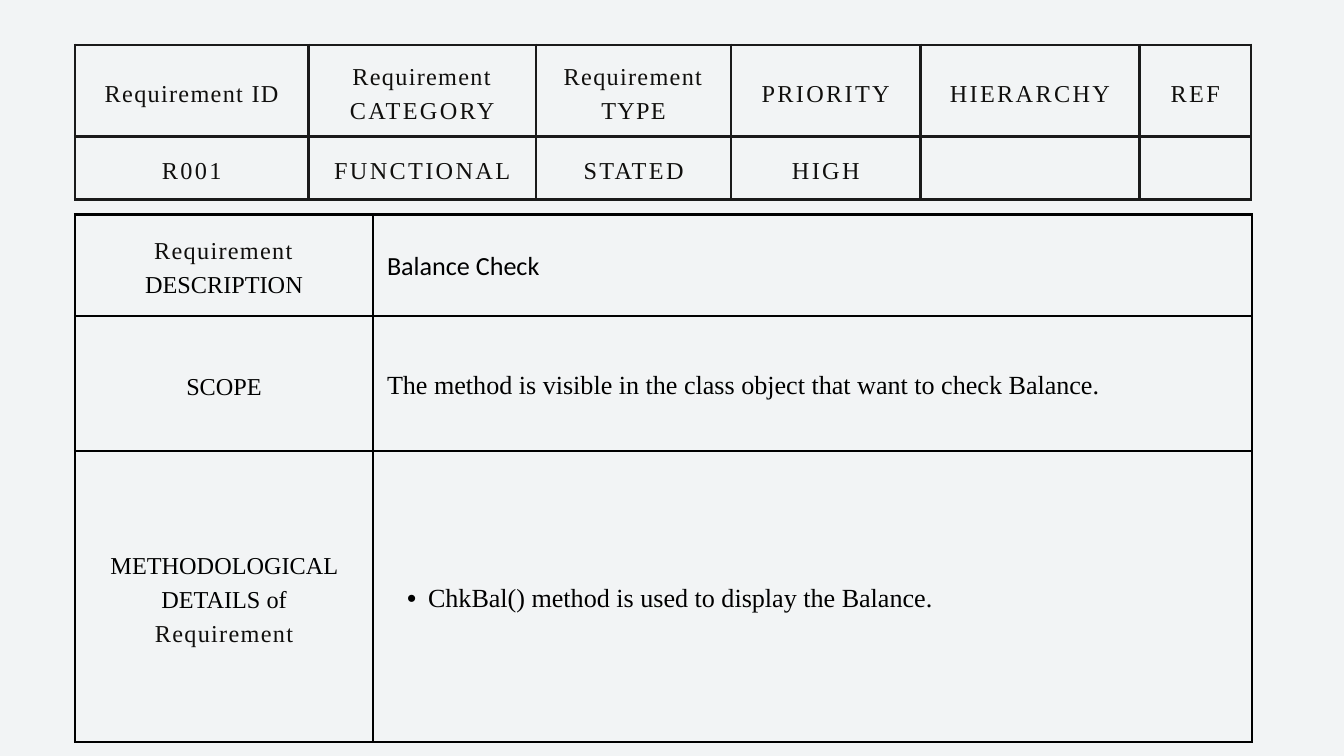
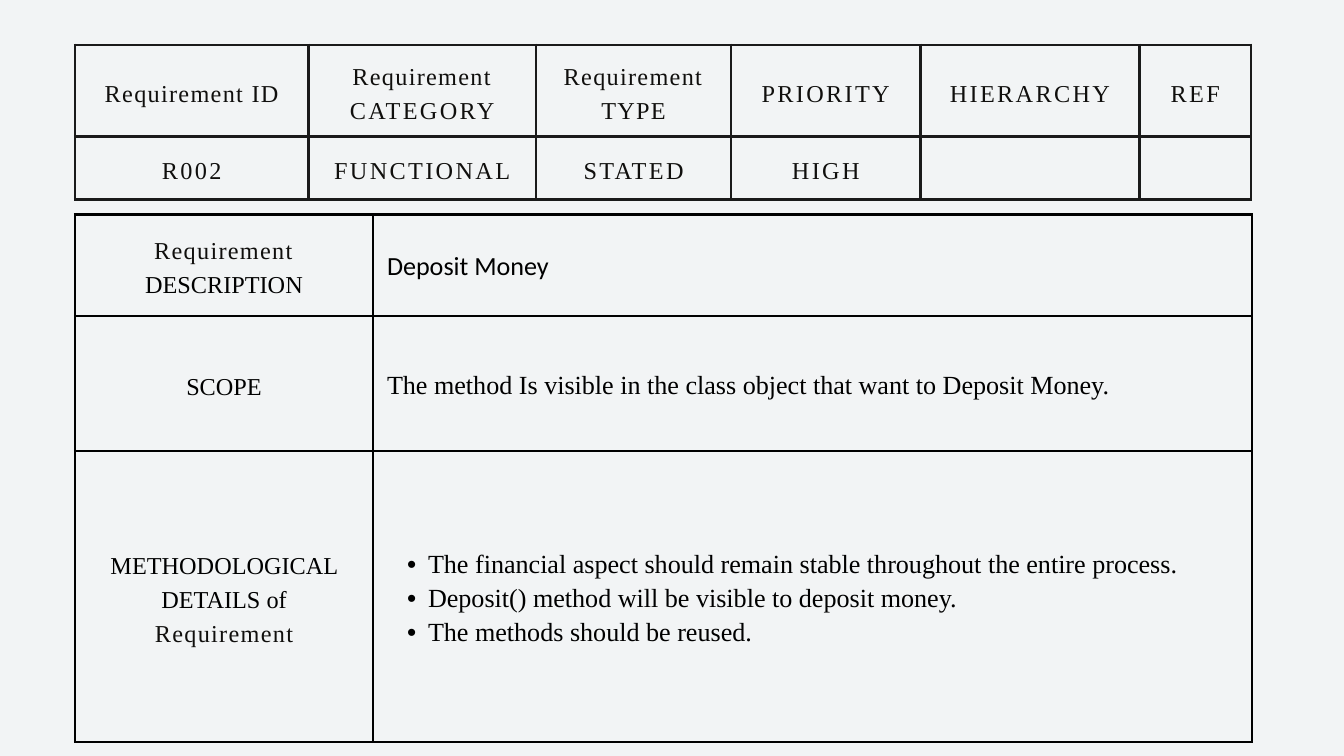
import pptx
import pptx.dml.color
import pptx.enum.text
import pptx.oxml
import pptx.oxml.ns
import pptx.util
from dataclasses import dataclass

Pt = pptx.util.Pt
ALIGN = pptx.enum.text.PP_ALIGN

COLORS = {
    "background": "F2F4F5",
    "header_border": "1A1A1A",
    "detail_border": "000000",
    "label": "100F0D",
    "label_dark": "010101",
    "body": "000000",
}


@dataclass
class TextStyle:
    size: int
    color: str
    spacing: float = 0
    font: str = "Times New Roman"


STYLES = {
    "label": TextStyle(26, "label", 1.4),
    "caps": TextStyle(26, "label", 2.5),
    "dark": TextStyle(26, "label_dark"),
    "plain": TextStyle(26, "body"),
    "body": TextStyle(28, "body"),
    "title": TextStyle(28, "body", font="Calibri"),
}

LEFT = 80.6
HEADER_TOP = 48.2
HEADER_COLUMNS = [249.8, 244.1, 208.8, 203, 234.7, 119.5]
HEADER_ROWS = [97.9, 67.7]
DETAIL_TOP = 229.7
DETAIL_COLUMNS = [319, 942.1]
DETAIL_ROWS = [108.7, 144.7, 311.8]
LINE_SPACING = 36.4
BORDER_WIDTH = 3

HEADINGS = [
    [("Requirement ID", "label")],
    [("Requirement ", "label"), ("CATEGORY", "caps")],
    [("Requirement TYPE", "label")],
    [("PRIORITY", "caps")],
    [("HIERARCHY", "caps")],
    [("REF", "caps")],
]
DETAIL_LABELS = [
    [("Requirement ", "label"), ("DESCRIPTION", "dark")],
    [("SCOPE", "plain")],
    [("METHODOLOGICAL DETAILS of ", "plain"), ("Requirement", "label")],
]
REQUIREMENTS = [
    {
        "id": "R001",
        "description": "Balance Check",
        "scope": "The method is visible in the class object that want to check Balance.",
        "details": ["ChkBal() method is used to display the Balance."],
    },
    {
        "id": "R002",
        "description": "Deposit Money",
        "scope": "The method Is visible in the class object that want to Deposit Money.",
        "details": [
            "The financial aspect should remain stable throughout the entire process.",
            "Deposit() method will be visible to deposit money.",
            "The methods should be reused.",
        ],
    },
]


class RequirementDeck:
    def __init__(self):
        self.deck = pptx.Presentation()
        self.deck.slide_width = Pt(1440)
        self.deck.slide_height = Pt(810)
        self.page = None

    def color(self, name):
        return pptx.dml.color.RGBColor.from_string(COLORS[name])

    def add_page(self):
        self.page = self.deck.slides.add_slide(self.deck.slide_layouts[6])
        fill = self.page.background.fill
        fill.solid()
        fill.fore_color.rgb = self.color("background")

    def add_table(self, top, columns, rows, border, inset):
        frame = self.page.shapes.add_table(
            len(rows), len(columns), Pt(LEFT), Pt(top), Pt(sum(columns)), Pt(sum(rows))
        )
        table = frame.table
        table.first_row = table.horz_banding = False
        for column, width in zip(table.columns, columns):
            column.width = Pt(width)
        for row, height in zip(table.rows, rows):
            row.height = Pt(height)
        for cell in table.iter_cells():
            self.style_cell(cell, border, inset)
        return table

    def style_cell(self, cell, border, inset):
        cell.fill.background()
        cell.vertical_anchor = pptx.enum.text.MSO_ANCHOR.MIDDLE
        cell.margin_left = cell.margin_right = Pt(inset)
        cell.margin_top = cell.margin_bottom = Pt(inset)
        properties = cell._tc.get_or_add_tcPr()
        for index, side in enumerate(["lnL", "lnR", "lnT", "lnB"]):
            line = pptx.oxml.parse_xml(
                f'<a:{side} {pptx.oxml.ns.nsdecls("a")} w="{Pt(BORDER_WIDTH)}">'
                f'<a:solidFill><a:srgbClr val="{COLORS[border]}"/></a:solidFill>'
                f'</a:{side}>'
            )
            properties.insert(index, line)

    def add_text(self, cell, paragraphs, align=ALIGN.CENTER, bulleted=False):
        frame = cell.text_frame
        for index, spans in enumerate(paragraphs):
            para = frame.add_paragraph() if index else frame.paragraphs[0]
            para.alignment = align
            para.line_spacing = Pt(LINE_SPACING)
            if bulleted:
                self.add_bullet(para)
            for text, style in spans:
                self.add_span(para, text, STYLES[style])

    def add_span(self, para, text, style):
        span = para.add_run()
        span.text = text
        span.font.name = style.font
        span.font.size = Pt(style.size)
        span.font.color.rgb = self.color(style.color)
        span._r.get_or_add_rPr().set("spc", str(round(style.spacing * 100)))

    def add_bullet(self, para):
        para.level = 1
        properties = para._p.get_or_add_pPr()
        properties.set("marL", str(Pt(43.9)))
        properties.set("indent", str(Pt(-22.3)))
        namespace = pptx.oxml.ns.nsdecls("a")
        properties.append(pptx.oxml.parse_xml(f'<a:buFont {namespace} typeface="Arial"/>'))
        properties.append(pptx.oxml.parse_xml(f'<a:buChar {namespace} char="•"/>'))

    def add_header(self, requirement):
        table = self.add_table(HEADER_TOP, HEADER_COLUMNS, HEADER_ROWS, "header_border", 8.64)
        for column, spans in enumerate(HEADINGS):
            self.add_text(table.cell(0, column), [spans])
        for column, text in enumerate([requirement["id"], "FUNCTIONAL", "STATED", "HIGH"]):
            self.add_text(table.cell(1, column), [[(text, "caps")]])

    def add_details(self, requirement):
        table = self.add_table(DETAIL_TOP, DETAIL_COLUMNS, DETAIL_ROWS, "detail_border", 15.12)
        for row, spans in enumerate(DETAIL_LABELS):
            self.add_text(table.cell(row, 0), [spans])
        self.add_text(table.cell(0, 1), [[(requirement["description"], "title")]], ALIGN.LEFT)
        self.add_text(table.cell(1, 1), [[(requirement["scope"], "body")]], ALIGN.LEFT)
        details = [[(text, "body")] for text in requirement["details"]]
        self.add_text(table.cell(2, 1), details, ALIGN.LEFT, bulleted=True)


def main():
    builder = RequirementDeck()
    for requirement in REQUIREMENTS:
        builder.add_page()
        builder.add_header(requirement)
        builder.add_details(requirement)
    builder.deck.save("out.pptx")


if __name__ == "__main__":
    main()
